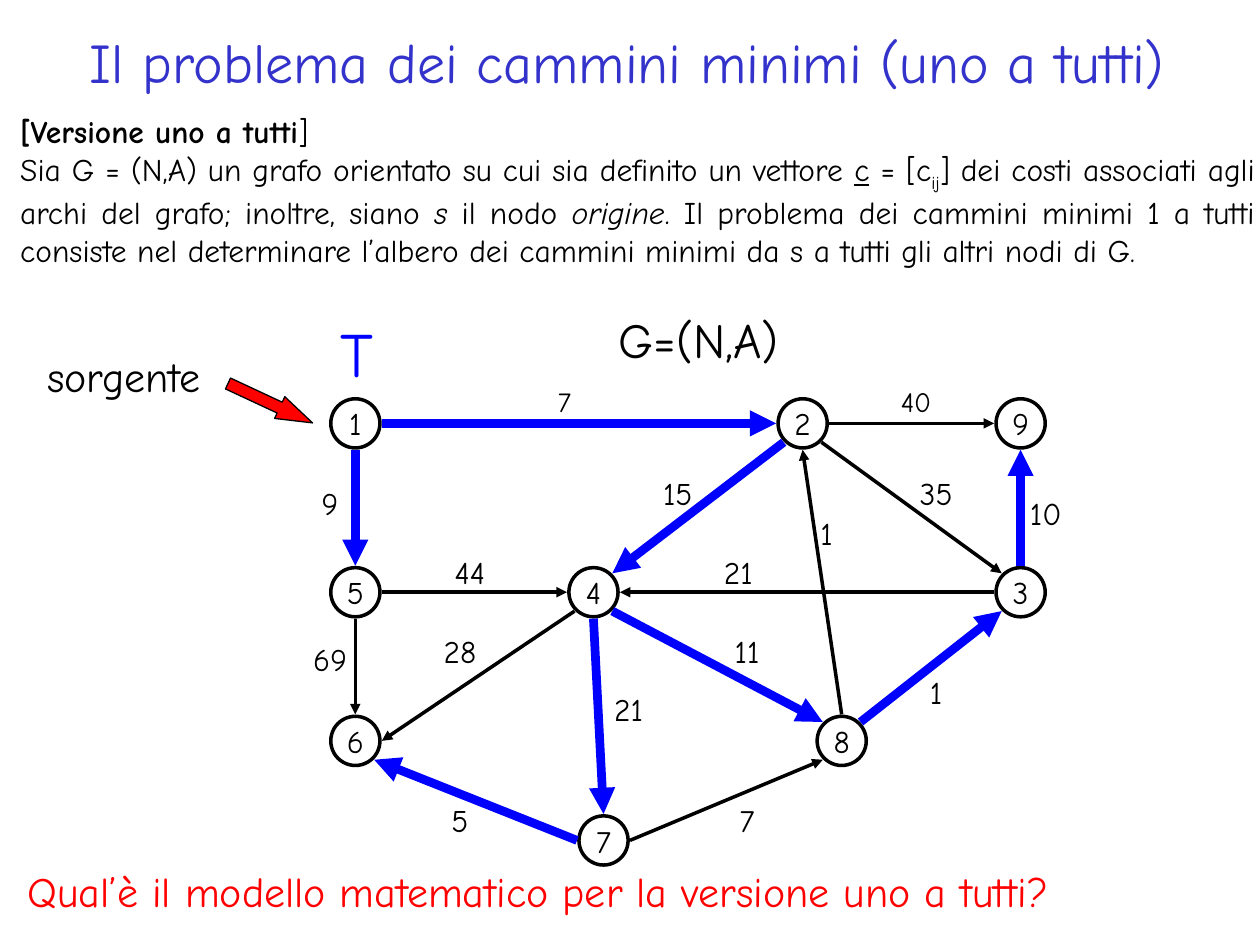
"""Builds the slide on the one-to-all shortest path problem."""
from typing import NamedTuple

from lxml import etree
from pptx import Presentation
from pptx.dml.color import RGBColor
from pptx.enum.shapes import MSO_CONNECTOR, MSO_SHAPE
from pptx.enum.text import MSO_ANCHOR, PP_ALIGN
from pptx.oxml.ns import qn
from pptx.util import Inches, Pt

LEFT, CENTER, JUSTIFY = PP_ALIGN.LEFT, PP_ALIGN.CENTER, PP_ALIGN.JUSTIFY
TOP, MIDDLE = MSO_ANCHOR.TOP, MSO_ANCHOR.MIDDLE
STRAIGHT = MSO_CONNECTOR.STRAIGHT
OVAL, DOWN_ARROW = MSO_SHAPE.OVAL, MSO_SHAPE.DOWN_ARROW

FONT = "Comic Neue"
COLORS = {"black": "000000", "white": "FFFFFF", "title": "3333CC",
          "tree": "0000FF", "red": "FF0000"}
SLIDE_WIDTH, SLIDE_HEIGHT = Inches(10), Inches(7.5)
COLUMNS, ROWS = 100, 75
NODE_SIZE = 3.9
REACH, DIAGONAL = 2.1, 1.5
LABEL_WIDTH, LABEL_HEIGHT = 4.7, 4
SITES = {"N": (0, -REACH), "S": (0, REACH), "W": (-REACH, 0), "E": (REACH, 0),
         "NW": (-DIAGONAL, -DIAGONAL), "NE": (DIAGONAL, -DIAGONAL),
         "SW": (-DIAGONAL, DIAGONAL), "SE": (DIAGONAL, DIAGONAL)}
NODES = {1: (28.2, 33.6), 2: (63.7, 33.6), 9: (81, 33.6),
         5: (28.2, 47), 4: (47.1, 47), 3: (81, 47),
         6: (28.2, 58.8), 8: (66.8, 58.8), 7: (47.9, 66.7)}


class Arc(NamedTuple):
    """A weighted arc between sites of two nodes, with its label centre."""
    start: int
    start_site: str
    end: int
    end_site: str
    cost: str
    label_x: float
    label_y: float
    in_tree: bool = False
    size: int = 18


class Caption(NamedTuple):
    """A line of text in a box measured in columns and rows."""
    text: str
    left: float
    top: float
    width: float
    height: float
    size: int
    color: str = "black"
    align: PP_ALIGN = CENTER
    inset: float = 0
    spacing: float = 1.0


class Piece(NamedTuple):
    """A stretch of text with its formatting."""
    text: str
    bold: bool = False
    italic: bool = False
    underline: bool = False
    subscript: bool = False


ARCS = [
    Arc(5, "S", 6, "N", "69", 26.2, 52.3),
    Arc(5, "E", 4, "W", "44", 37.3, 45.4),
    Arc(8, "N", 2, "S", "1", 65.6, 42.3),
    Arc(7, "E", 8, "SW", "7", 59.3, 65.1),
    Arc(4, "SW", 6, "E", "28", 36.5, 51.7),
    Arc(2, "E", 9, "W", "40", 72.7, 32, size=16),
    Arc(2, "SE", 3, "NW", "35", 74.3, 39.1),
    Arc(3, "W", 4, "E", "21", 58.6, 45.4),
    Arc(1, "E", 2, "W", "7", 44.8, 32, True, 16),
    Arc(1, "S", 5, "N", "9", 26.2, 39.9, True),
    Arc(2, "SW", 4, "NE", "15", 53.8, 39.1, True),
    Arc(4, "SE", 8, "NW", "11", 59.3, 51.7, True),
    Arc(4, "S", 7, "N", "21", 49.9, 56.3, True),
    Arc(7, "W", 6, "SE", "5", 36.5, 65.1, True),
    Arc(8, "NE", 3, "SW", "1", 74.3, 54.9, True),
    Arc(3, "N", 9, "S", "10", 83, 40.7, True),
]
CAPTIONS = [
    Caption("sorgente", 1.2, 27.3, 17.3, 5, 24),
    Caption("T", 27, 24.5, 4.7, 7, 36, "tree", LEFT),
    Caption("G=(N,A)", 47.6, 24.1, 15.7, 5.7, 28),
    Caption("Qual’è il modello matematico per la versione uno a tutti?",
            1.2, 69, 97.6, 5.6, 24, "red", LEFT, 0.1, 0.8),
]
STATEMENT = [
    [Piece("[Versione uno a tutti", bold=True), Piece("]")],
    [Piece("Sia G = (N,A) un grafo orientato su cui sia definito un vettore "),
     Piece("c", underline=True), Piece(" = [c"), Piece("ij", subscript=True),
     Piece("] dei costi associati agli archi del grafo; inoltre, siano "),
     Piece("s", italic=True), Piece(" il nodo "), Piece("origine", italic=True),
     Piece(". Il problema dei cammini minimi 1 a tutti consiste nel determinare "
           "l’albero dei cammini minimi da s a tutti gli altri nodi di G.")],
]


def color(name: str) -> RGBColor:
    """Looks up a named colour."""
    return RGBColor.from_string(COLORS[name])


def place(*lengths: float) -> list[int]:
    """Turns alternating columns and rows into slide lengths."""
    units = (SLIDE_WIDTH / COLUMNS, SLIDE_HEIGHT / ROWS)
    return [round(length * units[index % 2]) for index, length in enumerate(lengths)]


def style_font(font, size: int, name: str = "black") -> None:
    """Sets typeface, size and colour."""
    font.name, font.size = FONT, Pt(size)
    font.color.rgb = color(name)


def set_frame(text_frame, inset: float, anchor=TOP, wrap: bool = True) -> None:
    """Sets the margins, anchor and wrapping of a text frame."""
    text_frame.margin_left = text_frame.margin_right = Inches(inset)
    text_frame.margin_top = text_frame.margin_bottom = Inches(0.05)
    text_frame.vertical_anchor, text_frame.word_wrap = anchor, wrap


def write_line(text_frame, text: str, size: int, name: str = "black", align=CENTER):
    """Writes a single formatted paragraph and returns it."""
    text_frame.text = text
    paragraph = text_frame.paragraphs[0]
    paragraph.alignment = align
    style_font(paragraph.runs[0].font, size, name)
    return paragraph


def add_title(slide, text: str) -> None:
    """Moves and formats the title placeholder."""
    title = slide.shapes.title
    title.left, title.top, title.width, title.height = place(0.8, 1.3, 98, 7.1)
    set_frame(title.text_frame, 0.1, MIDDLE)
    write_line(title.text_frame, text, 32, "title")


def add_caption(slide, caption: Caption) -> None:
    """Draws a line of text."""
    box = slide.shapes.add_textbox(
        *place(caption.left, caption.top, caption.width, caption.height))
    set_frame(box.text_frame, caption.inset)
    paragraph = write_line(box.text_frame, caption.text, caption.size,
                           caption.color, caption.align)
    paragraph.line_spacing = caption.spacing


def add_statement(slide) -> None:
    """Draws the definition of the problem."""
    text_frame = slide.shapes.add_textbox(*place(1.2, 8.4, 98.8, 16.1)).text_frame
    set_frame(text_frame, 0.04)
    for index, pieces in enumerate(STATEMENT):
        paragraph = text_frame.add_paragraph() if index else text_frame.paragraphs[0]
        paragraph.alignment = JUSTIFY
        for piece in pieces:
            run = paragraph.add_run()
            run.text = piece.text
            style_font(run.font, 18)
            run.font.bold, run.font.italic = piece.bold, piece.italic
            run.font.underline = piece.underline
            if piece.subscript:
                run.font._element.set("baseline", "-25000")


def add_filled_shape(slide, kind, box: list[int], fill: str, line_width: float):
    """Draws a preset shape with a black outline."""
    shape = slide.shapes.add_shape(kind, *box)
    shape.shadow.inherit = False
    shape.fill.solid()
    shape.fill.fore_color.rgb = color(fill)
    shape.line.color.rgb = color("black")
    shape.line.width = Pt(line_width)
    return shape


def add_node(slide, number: int) -> None:
    """Draws a numbered node around its centre."""
    x, y = NODES[number]
    box = place(x - NODE_SIZE / 2, y - NODE_SIZE / 2, NODE_SIZE, NODE_SIZE)
    node = add_filled_shape(slide, OVAL, box, "white", 2)
    set_frame(node.text_frame, 0, MIDDLE, False)
    write_line(node.text_frame, str(number), 18)


def add_arc(slide, arc: Arc) -> None:
    """Draws an arrow between two nodes and its cost."""
    ends = [centre + offset
            for node, site in ((arc.start, arc.start_site), (arc.end, arc.end_site))
            for centre, offset in zip(NODES[node], SITES[site])]
    connector = slide.shapes.add_connector(STRAIGHT, *place(*ends))
    connector.line.color.rgb = color("tree" if arc.in_tree else "black")
    connector.line.width = Pt(5 if arc.in_tree else 2)
    properties = connector._element.spPr
    etree.SubElement(properties.find(qn("a:ln")), qn("a:tailEnd"), type="triangle")
    etree.SubElement(properties, qn("a:effectLst"))
    add_caption(slide, Caption(arc.cost, arc.label_x - LABEL_WIDTH / 2,
                               arc.label_y - LABEL_HEIGHT / 2,
                               LABEL_WIDTH, LABEL_HEIGHT, arc.size))


def main() -> None:
    """Builds and saves the presentation."""
    presentation = Presentation()
    presentation.slide_width, presentation.slide_height = SLIDE_WIDTH, SLIDE_HEIGHT
    slide = presentation.slides.add_slide(presentation.slide_layouts[5])
    add_title(slide, "Il problema dei cammini minimi (uno a tutti)")
    for number in NODES:
        add_node(slide, number)
    for arc in ARCS:
        add_arc(slide, arc)
    pointer = add_filled_shape(slide, DOWN_ARROW, place(20.5, 28.3, 1.9, 7.4), "red", 0.75)
    pointer.adjustments[0], pointer.adjustments[1] = 0.5, 1.51
    pointer.rotation = 295
    for caption in CAPTIONS:
        add_caption(slide, caption)
    add_statement(slide)
    presentation.save("out.pptx")


if __name__ == "__main__":
    main()
